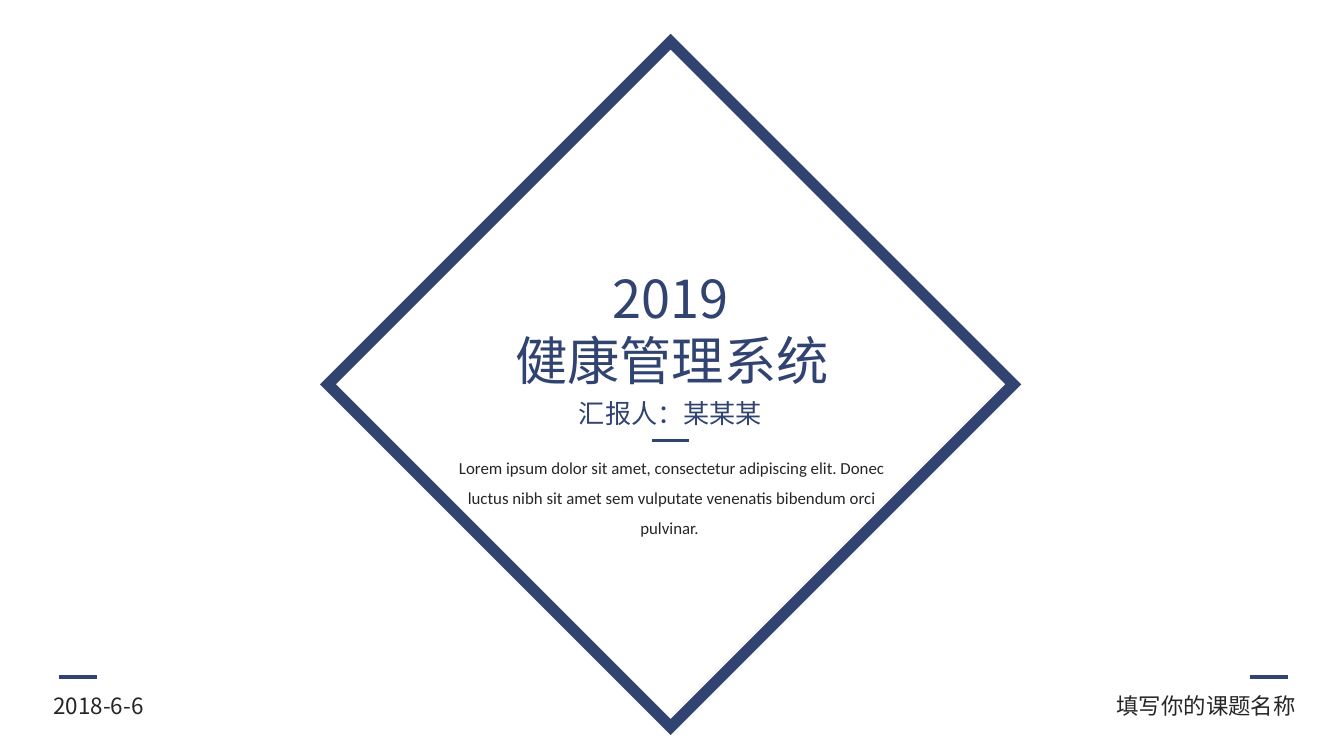
"""Build a title slide with a diamond frame, a date and a topic name."""
from lxml import etree
from pptx import Presentation
from pptx.dml.color import RGBColor
from pptx.enum.shapes import MSO_CONNECTOR, MSO_SHAPE
from pptx.enum.text import MSO_AUTO_SIZE, PP_ALIGN
from pptx.oxml.ns import qn
from pptx.util import Inches, Pt

LEFT, CENTER, RIGHT = PP_ALIGN.LEFT, PP_ALIGN.CENTER, PP_ALIGN.RIGHT
STRAIGHT = MSO_CONNECTOR.STRAIGHT
DIAMOND = MSO_SHAPE.DIAMOND
FIT = MSO_AUTO_SIZE.SHAPE_TO_FIT_TEXT
COLORS = {"navy": "304371", "ink": "262626"}
CJK = "Noto Sans CJK SC"


def add_text(text, box, size, color="navy", font=CJK, align=CENTER, wrap=False, spacing=None):
    tf = s.shapes.add_textbox(*map(Inches, box)).text_frame
    tf.word_wrap = wrap
    tf.auto_size = FIT
    p = tf.paragraphs[0]
    p.alignment = align
    p.line_spacing = spacing
    r = p.add_run()
    r.text = text
    r.font.size = Pt(size)
    r.font.name = font
    r.font.color.rgb = RGBColor.from_string(COLORS[color])
    etree.SubElement(r.font._element, qn("a:ea"), typeface=CJK)


prs = Presentation()
prs.slide_width = Inches(10)
prs.slide_height = prs.slide_width * 9 // 16
s = prs.slides.add_slide(prs.slide_layouts[6])
navy = RGBColor.from_string(COLORS["navy"])

add_text("健康管理系统", (3.72, 2.39, 2.56, 0.57), 28)
add_text("汇报人：某某某", (2.72, 2.91, 4.54, 0.34), 14, font="Arial", wrap=True)
add_text("Lorem ipsum dolor sit amet, consectetur adipiscing elit. Donec luctus nibh "
         "sit amet sem vulputate venenatis bibendum orci pulvinar. ",
         (3.24, 3.28, 3.51, 0.78), 9, color="ink", font="Calibri", wrap=True, spacing=1.5)

for x, y, width in ((4.85, 3.28, 1.5), (9.3, 5.04, 2.25), (0.44, 5.04, 2.25)):
    dash = s.shapes.add_connector(STRAIGHT, Inches(x), Inches(y), Inches(x + 0.28), Inches(y))
    dash.line.color.rgb = navy
    dash.line.width = Pt(width)
    etree.SubElement(dash._element.spPr, qn("a:effectLst"))

add_text("填写你的课题名称", (8.19, 5.1, 1.55, 0.3), 12, color="ink", align=RIGHT)

frame = s.shapes.add_shape(DIAMOND, Inches(2.44), Inches(0.31), Inches(5.1), Inches(5.1))
frame.shadow.inherit = False
frame.fill.background()
frame.line.color.rgb = navy
frame.line.width = Pt(6)
etree.SubElement(frame.line._get_or_add_ln(), qn("a:miter"), lim="800000")

add_text("2018-6-6", (0.3, 5.1, 0.94, 0.3), 12, color="ink", align=LEFT)
add_text("2019", (4.43, 1.93, 1.12, 0.57), 28)

prs.save("out.pptx")
